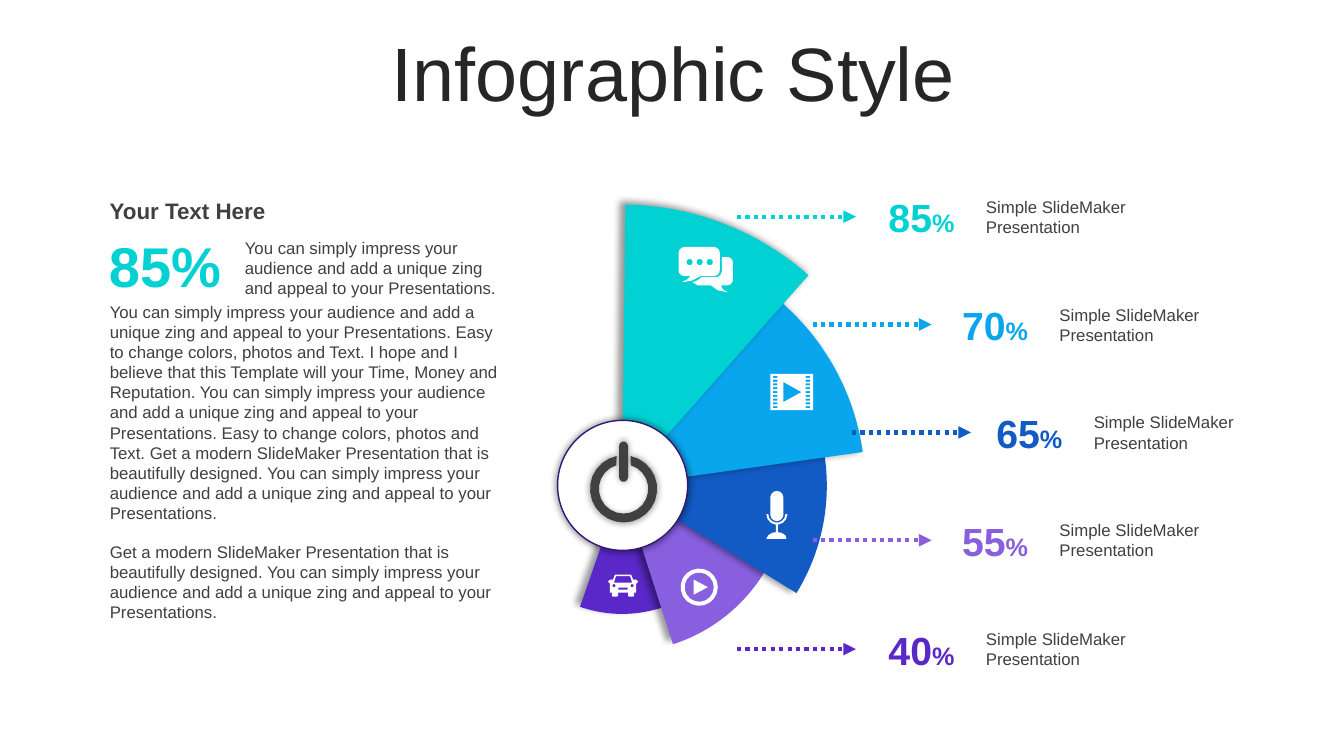
from math import cos, radians, sin, sqrt

from lxml.etree import SubElement
from pptx import Presentation
from pptx.dml.color import RGBColor
from pptx.enum.dml import MSO_LINE
from pptx.enum.shapes import MSO_CONNECTOR, MSO_SHAPE
from pptx.enum.text import MSO_ANCHOR as ANCHOR, MSO_AUTO_SIZE as AUTO_SIZE, PP_ALIGN as ALIGN
from pptx.oxml.ns import qn
from pptx.util import Emu, Pt

PX = 9144  # EMU in one px (a hundredth of an inch)
FINE = 10  # outline units in one px

TURQUOISE = RGBColor(0x01, 0xD1, 0xD3)
SKY = RGBColor(0x0A, 0xA6, 0xED)
BLUE = RGBColor(0x12, 0x5A, 0xC4)
LILAC = RGBColor(0x87, 0x5F, 0xDF)
VIOLET = RGBColor(0x5A, 0x28, 0xC8)
RIM = RGBColor(0x35, 0x18, 0x76)
WHITE = RGBColor(0xFF, 0xFF, 0xFF)
INK = RGBColor(0x26, 0x26, 0x26)
GREY = RGBColor(0x40, 0x40, 0x40)

IMPRESS = "You can simply impress your audience and add a unique zing and appeal to your Presentations."
EASY = "Easy to change colors, photos and Text."
MODERN = f"Get a modern SlideMaker Presentation that is beautifully designed. {IMPRESS}"
STORY = (f"{IMPRESS} {EASY} I hope and I believe that this Template will your Time, "
         f"Money and Reputation. {IMPRESS} {EASY} {MODERN}")

# value, colour, wedge rotation, arrow left, number left
ROWS = [
    ("85", TURQUOISE, 41.5, 731, 866),
    ("70", SKY, 82, 806, 939),
    ("65", BLUE, 121.6, 845, 973),
    ("55", LILAC, 162.2, 806, 939),
    ("40", VIOLET, 199.2, 731, 866),
]


def write(frame, *runs, size=12, color=GREY, bold=False, align=ALIGN.LEFT,
          anchor=ANCHOR.TOP, spacing=None):
    """Fill a text frame; a run is a text, or a (text, size) pair."""
    frame.word_wrap = True
    frame.auto_size = AUTO_SIZE.NONE
    frame.vertical_anchor = anchor
    paragraph = frame.paragraphs[0]
    paragraph.alignment = align
    paragraph.line_spacing = spacing
    for item in runs:
        text, run_size = item if isinstance(item, tuple) else (item, size)
        run = paragraph.add_run()
        run.text = text
        run.font.name = "Arial"
        run.font.size = Pt(run_size)
        run.font.bold = bold
        run.font.color.rgb = color


# Outlines as lists of points; larger radii get more points
def arc(x, y, radius, start, end):
    steps = max(2, round(abs(end - start) * sqrt(radius) / 80))
    angles = [radians(start + (end - start) * i / steps) for i in range(steps + 1)]
    return [(x + radius * cos(a), y + radius * sin(a)) for a in angles]


def circle(x, y, radius):
    return arc(x, y, radius, 0, 360)[:-1]


def box(left, top, right, bottom):
    return [(left, top), (right, top), (right, bottom), (left, bottom)]


def rounded(left, top, right, bottom, radius):
    middle = (left + right) / 2
    return (arc(middle, top + radius, radius, 180, 360)
            + arc(middle, bottom - radius, radius, 0, 180))


def mirrored(axis, half):
    return half + [(2 * axis - x, y) for x, y in reversed(half)]


def chat_icon():
    front = (arc(679, 251, 6, 180, 270) + arc(708, 251, 6, 270, 360) + arc(708, 268, 6, 0, 90)
             + [(695, 274), (686, 278.5), (676, 280), (682, 277), (685, 274)]
             + arc(679, 268, 6, 90, 180))
    back = ([(716, 255)] + arc(721.5, 260.5, 5.5, 270, 360) + arc(721.5, 277.5, 5.5, 0, 90)
            + [(715, 283), (717, 287), (722, 290), (712, 288), (705, 283), (692, 283),
               (687, 280), (692, 278), (696, 275)]
            + arc(710, 269, 6, 90, 0))
    return [front, back] + [circle(x, 260, 3.2) for x in (684, 694, 704)]


def film_icon():
    holes = [box(x, 373 + 3.75 * i, x + 4.5, 375 + 3.75 * i)
             for x in (766.5, 799) for i in range(9)]
    return [box(764, 371, 806.5, 407), [(777, 379), (777, 399), (795, 389)]] + holes


def microphone_icon():
    stand = (arc(770.5, 510, 10.5, 0, 85) + [(771.5, 528), (775, 528.5), (779, 531), (780, 534.5),
             (760, 534.5), (762, 531), (766, 528.5), (769.5, 528)]
             + arc(770.5, 510, 10.5, 95, 180) + arc(770.5, 510, 8.5, 180, 0))
    return [stand, rounded(764, 487, 777, 517, 6.5)]


def play_icon():
    return [circle(693.5, 582.5, 18.5), circle(693.5, 582.5, 14.5),
            [(688, 575), (702, 582.5), (688, 590)]]


def car_icon():
    body = mirrored(618, [(626, 570), (628, 575), (631, 575), (633, 577), (631, 579), (631, 588),
                          (629, 588), (629, 591), (628, 592), (624, 592), (623, 591), (623, 588)])
    screen = mirrored(618, [(625, 571.5), (627, 578)])
    lamps = [circle(x, 581, 1.7) for x in (609, 627)]
    return [body, screen, box(613.5, 583, 622.5, 585)] + lamps


def power_icon():
    ring = arc(618.5, 485, 33.3, -78, 258) + arc(618.5, 485, 24.5, 253, -73)
    return [ring, rounded(614, 438, 623, 478, 4.5)]


class Board:
    def __init__(self, width, height):
        self.presentation = Presentation()
        self.presentation.slide_width = self.px(width)
        self.presentation.slide_height = self.px(height)
        self.slide = self.presentation.slides.add_slide(self.presentation.slide_layouts[5])
        self.shapes = self.slide.shapes

    def px(self, length):
        return Emu(int(length * PX))

    def title(self, text, left, top, width, height):
        shape = self.shapes.title
        shape.left, shape.top = self.px(left), self.px(top)
        shape.width, shape.height = self.px(width), self.px(height)
        write(shape.text_frame, text, size=54, color=INK, align=ALIGN.CENTER,
              anchor=ANCHOR.MIDDLE, spacing=0.9)

    def text(self, left, top, width, height, *runs, **style):
        shape = self.shapes.add_textbox(*map(self.px, (left, top, width, height)))
        write(shape.text_frame, *runs, **style)

    def paint(self, shape, fill, shadow=False, line=None):
        shape.fill.solid()
        shape.fill.fore_color.rgb = fill
        if line is None:
            shape.line.fill.background()
        else:
            shape.line.color.rgb = line
            shape.line.width = Pt(1)
        shape.shadow.inherit = False
        if shadow:
            effects = shape._element.spPr.find(qn("a:effectLst"))
            outer = SubElement(effects, qn("a:outerShdw"), blurRad="63500", sx="102000",
                               sy="102000", algn="ctr", rotWithShape="0")
            black = SubElement(outer, qn("a:srgbClr"), val="000000")
            SubElement(black, qn("a:alpha"), val="40000")

    def preset(self, kind, left, top, size, fill, line=None):
        shape = self.shapes.add_shape(kind, *map(self.px, (left, top, size, size)))
        self.paint(shape, fill, shadow=True, line=line)
        return shape

    def wedge(self, center_x, center_y, size, fill, rotation):
        shape = self.preset(MSO_SHAPE.PIE, center_x - size // 2, center_y - size // 2, size, fill)
        shape.adjustments[0], shape.adjustments[1] = 137.51, 162
        shape.rotation = rotation

    def arrow(self, left, y, length, color):
        connector = self.shapes.add_connector(
            MSO_CONNECTOR.STRAIGHT, *map(self.px, (left, y, left + length, y)))
        connector.line.color.rgb = color
        connector.line.width = Pt(3)
        connector.line.dash_style = MSO_LINE.ROUND_DOT
        properties = connector._element.spPr
        SubElement(properties.find(qn("a:ln")), qn("a:tailEnd"), type="triangle")
        SubElement(properties, qn("a:effectLst"))

    def icon(self, outlines, fill, shadow=False):
        contours = [[(x * FINE, y * FINE) for x, y in outline] for outline in outlines]
        builder = self.shapes.build_freeform(*contours[0][0], scale=PX / FINE)
        builder.add_line_segments(contours[0][1:], close=True)
        for contour in contours[1:]:
            builder.move_to(*contour[0])
            builder.add_line_segments(contour[1:], close=True)
        self.paint(builder.convert_to_shape(), fill, shadow)


def main():
    board = Board(1333, 750)
    board.title("Infographic Style", 35, 37, 1266, 79)

    # Fan of wedges, smallest at the back, with the hub on top
    for i, (_, color, rotation, _, _) in reversed(list(enumerate(ROWS))):
        board.wedge(617, 482, 558 - 76 * i, color, rotation)
    board.preset(MSO_SHAPE.OVAL, 553, 417, 129, WHITE, line=RIM)

    # Text column
    board.text(99, 191, 210, 37, "Your Text Here", size=16, bold=True)
    board.text(94, 225, 139, 77, "85%", size=40, color=TURQUOISE, bold=True,
               align=ALIGN.CENTER, anchor=ANCHOR.MIDDLE)
    board.text(233, 231, 271, 71, IMPRESS)
    board.text(99, 294, 405, 212, STORY)
    board.text(99, 532, 405, 91, MODERN)

    # Arrows, percentages and labels
    for i, (value, color, _, arrow_left, number_left) in enumerate(ROWS):
        y = 215 + 429 * i // 4
        board.arrow(arrow_left, y, 118, color)
        board.text(number_left, y - 28, 96, 57, (value, 28), ("%", 18), color=color, bold=True,
                   align=ALIGN.CENTER, anchor=ANCHOR.MIDDLE)
        board.text(number_left + 102, y - 25, 164, 51, "Simple SlideMaker Presentation")

    # Icons
    for outlines in (chat_icon(), film_icon(), microphone_icon(), play_icon(), car_icon()):
        board.icon(outlines, WHITE)
    board.icon(power_icon(), GREY, shadow=True)

    board.presentation.save("out.pptx")


if __name__ == "__main__":
    main()
